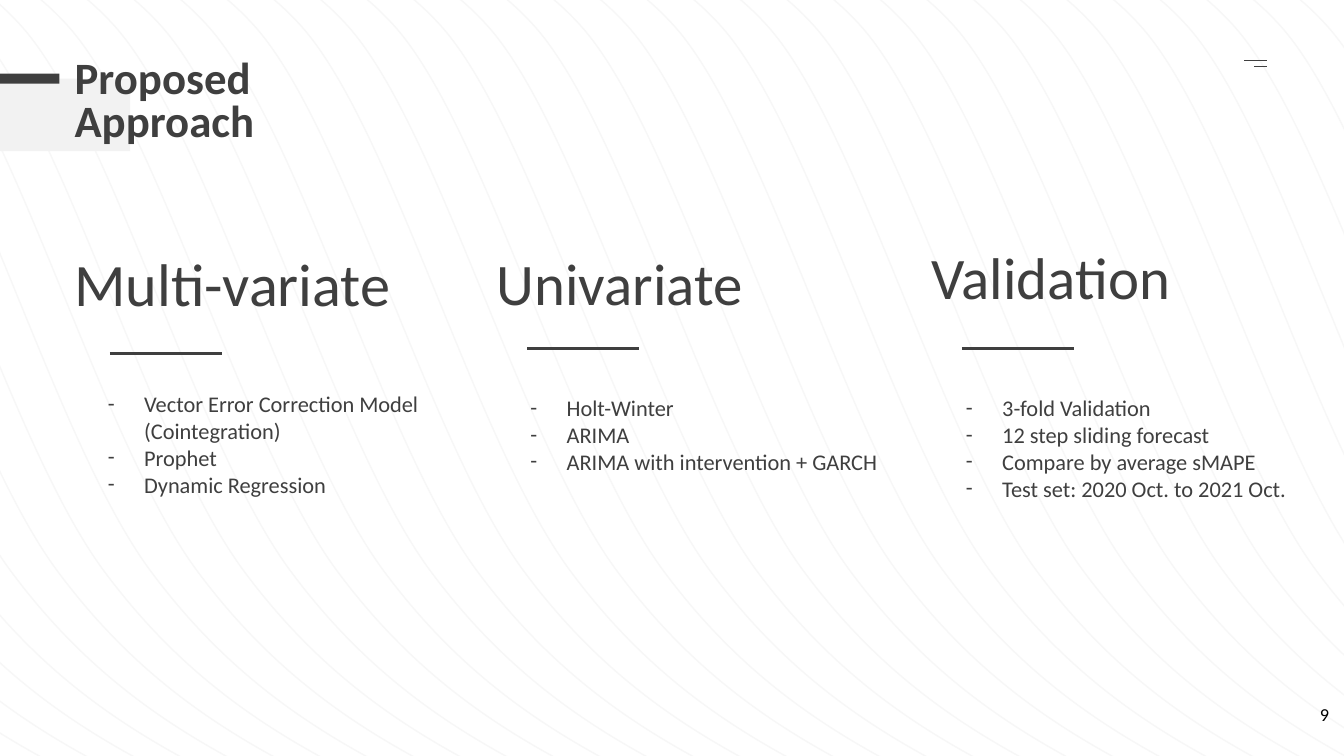
from dataclasses import dataclass

from lxml.etree import SubElement
from pptx import Presentation
from pptx.dml.color import RGBColor
from pptx.enum.shapes import MSO_CONNECTOR, MSO_SHAPE
from pptx.enum.text import MSO_ANCHOR, MSO_AUTO_SIZE, PP_ALIGN
from pptx.oxml.ns import qn
from pptx.util import Inches, Pt

TITLE = "Proposed Approach"
PAGE_NUMBER = "9"

# Boxes are left, top, width, height; rules are left, top (inches).
COLUMNS = [
    {"heading": "Multi-variate", "heading_size": 43, "heading_box": (0.64, 2.39, 3.98, 0.82),
     "rule": (1.09, 3.51), "placeholder": 1, "list_box": (0.83, 3.82, 4.12, 1.04),
     "items": ["Vector Error Correction Model (Cointegration)", "Prophet", "Dynamic Regression"]},
    {"heading": "Univariate", "heading_size": 42, "heading_box": (4.83, 2.4, 3.98, 0.81),
     "rule": (5.23, 3.46), "placeholder": 2, "list_box": (5.02, 3.86, 4.12, 1.3),
     "items": ["Holt-Winter", "ARIMA", "ARIMA with intervention + GARCH"]},
    {"heading": "Validation", "heading_size": 42, "heading_box": (9.14, 2.34, 3.98, 0.81),
     "rule": (9.54, 3.46), "placeholder": 4, "list_box": (9.34, 3.86, 4.12, 1.3),
     "items": ["3-fold Validation", "12 step sliding forecast", "Compare by average sMAPE",
               "Test set: 2020 Oct. to 2021 Oct."]},
]
RULE_LENGTH = 1.11
CORNER_MARK = [(12.34, 0.6, 0.23), (12.44, 0.66, 0.13)]

# One background wave as Bezier segments, measured from its starting point.
WAVE_TOP = -0.27
WAVE_SEGMENTS = [
    ((0.93, -0.24), (1.86, -0.48), (2.77, 0.51)),
    ((3.68, 1.5), (4.5, 4.65), (5.46, 5.94)),
    ((6.42, 7.23), (7.48, 7.74), (8.54, 8.25)),
]
WAVE_COUNT = 40
WAVE_FIRST, WAVE_LAST = -7.2, 10.84
LAYOUT_ID_OFFSET = 100


@dataclass(frozen=True)
class Theme:
    font: str = "Calibri"
    ink: str = "3F3F3F"
    page: str = "000000"
    band: str = "F2F2F2"
    wave: str = "D8D8D8"
    wave_opacity: int = 20
    title_size: int = 32
    list_size: int = 16
    page_size: int = 13
    rule_width: float = 2.25
    thin_width: float = 1


THEME = Theme()


def place(shape, box):
    shape.left, shape.top, shape.width, shape.height = map(Inches, box)


def add_dash(paragraph):
    properties = paragraph._p.get_or_add_pPr()
    properties.set("marL", str(Inches(0.5)))
    properties.set("indent", str(Inches(-0.36)))
    color = SubElement(properties, qn("a:buClr"))
    SubElement(color, qn("a:srgbClr"), val=THEME.ink)
    SubElement(properties, qn("a:buFont"), typeface=THEME.font)
    SubElement(properties, qn("a:buChar"), char="-")


def write(shape, *lines, size, color=THEME.ink, bold=False, align=PP_ALIGN.LEFT,
          anchor=MSO_ANCHOR.TOP, spacing=1.0, dashed=False):
    frame = shape.text_frame
    frame.word_wrap = True
    frame.auto_size = MSO_AUTO_SIZE.NONE
    frame.vertical_anchor = anchor
    frame.margin_left = frame.margin_right = Inches(0.1)
    frame.margin_top = frame.margin_bottom = Inches(0.05)
    for index, line in enumerate(lines):
        paragraph = frame.paragraphs[0] if index == 0 else frame.add_paragraph()
        if dashed:
            add_dash(paragraph)
        paragraph.alignment = align
        paragraph.line_spacing = spacing
        paragraph.space_before = Pt(0)
        run = paragraph.add_run()
        run.text = line
        run.font.name = THEME.font
        run.font.size = Pt(size)
        run.font.bold = bold
        run.font.color.rgb = RGBColor.from_string(color)


def add_text(slide, box, text, **text_format):
    shape = slide.shapes.add_textbox(*map(Inches, box))
    write(shape, text, **text_format)


def fill_placeholder(slide, placeholder, box, *lines, **text_format):
    """Fill a placeholder and bring it in front of the decoration."""
    place(placeholder, box)
    write(placeholder, *lines, **text_format)
    slide.shapes.element.append(placeholder.element)


def add_rule(slide, left, top, length, width):
    rule = slide.shapes.add_connector(
        MSO_CONNECTOR.STRAIGHT, Inches(left), Inches(top), Inches(left + length), Inches(top))
    rule.line.color.rgb = RGBColor.from_string(THEME.ink)
    rule.line.width = Pt(width)
    SubElement(rule.element.spPr, qn("a:effectLst"))


def add_block(slide, box, color):
    block = slide.shapes.add_shape(MSO_SHAPE.RECTANGLE, *map(Inches, box))
    block.shadow.inherit = False
    block.fill.solid()
    block.fill.fore_color.rgb = RGBColor.from_string(color)
    block.line.fill.background()


def bend(wave):
    """Turn the straight segments of a wave into Bezier curves."""
    outline = wave.element.spPr.find(".//" + qn("a:path"))
    for straight in outline.findall(qn("a:lnTo")):
        outline.remove(straight)
    for segment in WAVE_SEGMENTS:
        curve = SubElement(outline, qn("a:cubicBezTo"))
        for x, y in segment:
            SubElement(curve, qn("a:pt"), x=str(Inches(x)), y=str(Inches(y)))


def add_wave(group, left):
    builder = group.shapes.build_freeform(Inches(left), Inches(WAVE_TOP))
    ends = [(Inches(left + x), Inches(WAVE_TOP + y)) for _, _, (x, y) in WAVE_SEGMENTS]
    builder.add_line_segments(ends, close=False)
    wave = builder.convert_to_shape()
    bend(wave)
    wave.shadow.inherit = False
    wave.fill.background()
    wave.line.width = Pt(THEME.thin_width)
    wave.line.color.rgb = RGBColor.from_string(THEME.wave)
    color = wave.element.spPr.find(".//" + qn("a:srgbClr"))
    SubElement(color, qn("a:alpha"), val=str(THEME.wave_opacity * 1000))


def add_waves(slide):
    """Draw the waves as one group and hand it to the slide's layout."""
    group = slide.shapes.add_group_shape()
    gap = (WAVE_LAST - WAVE_FIRST) / (WAVE_COUNT - 1)
    for index in range(WAVE_COUNT):
        add_wave(group, WAVE_FIRST + index * gap)
    for properties in group.element.iter(qn("p:cNvPr")):
        properties.set("id", str(int(properties.get("id")) + LAYOUT_ID_OFFSET))
    slide.slide_layout.shapes.element.append(group.element)


def add_column(slide, column):
    add_text(slide, column["heading_box"], column["heading"], size=column["heading_size"])
    add_rule(slide, *column["rule"], RULE_LENGTH, THEME.rule_width)
    placeholders = {item.placeholder_format.idx: item for item in slide.placeholders}
    fill_placeholder(slide, placeholders[column["placeholder"]], column["list_box"],
                     *column["items"], size=THEME.list_size, dashed=True)


def main():
    presentation = Presentation()
    presentation.slide_width, presentation.slide_height = Inches(13.33), Inches(7.5)
    comparison_layout = presentation.slide_layouts[4]
    slide = presentation.slides.add_slide(comparison_layout)

    add_waves(slide)
    add_block(slide, (-0.38, 0.78, 1.67, 0.72), THEME.band)
    add_block(slide, (0, 0.73, 0.59, 0.1), THEME.ink)
    fill_placeholder(slide, slide.shapes.title, (0.64, 0.54, 2.07, 0.97), TITLE,
                     size=THEME.title_size, bold=True, anchor=MSO_ANCHOR.MIDDLE, spacing=0.8)
    for column in COLUMNS:
        add_column(slide, column)
    for left, top, length in CORNER_MARK:
        add_rule(slide, left, top, length, THEME.thin_width)
    add_text(slide, (12.48, 6.93, 0.8, 0.57), PAGE_NUMBER,
             size=THEME.page_size, color=THEME.page, align=PP_ALIGN.RIGHT)

    for placeholder in list(slide.placeholders):
        if not placeholder.text_frame.text:
            slide.shapes.element.remove(placeholder.element)
    presentation.save("out.pptx")


if __name__ == "__main__":
    main()
